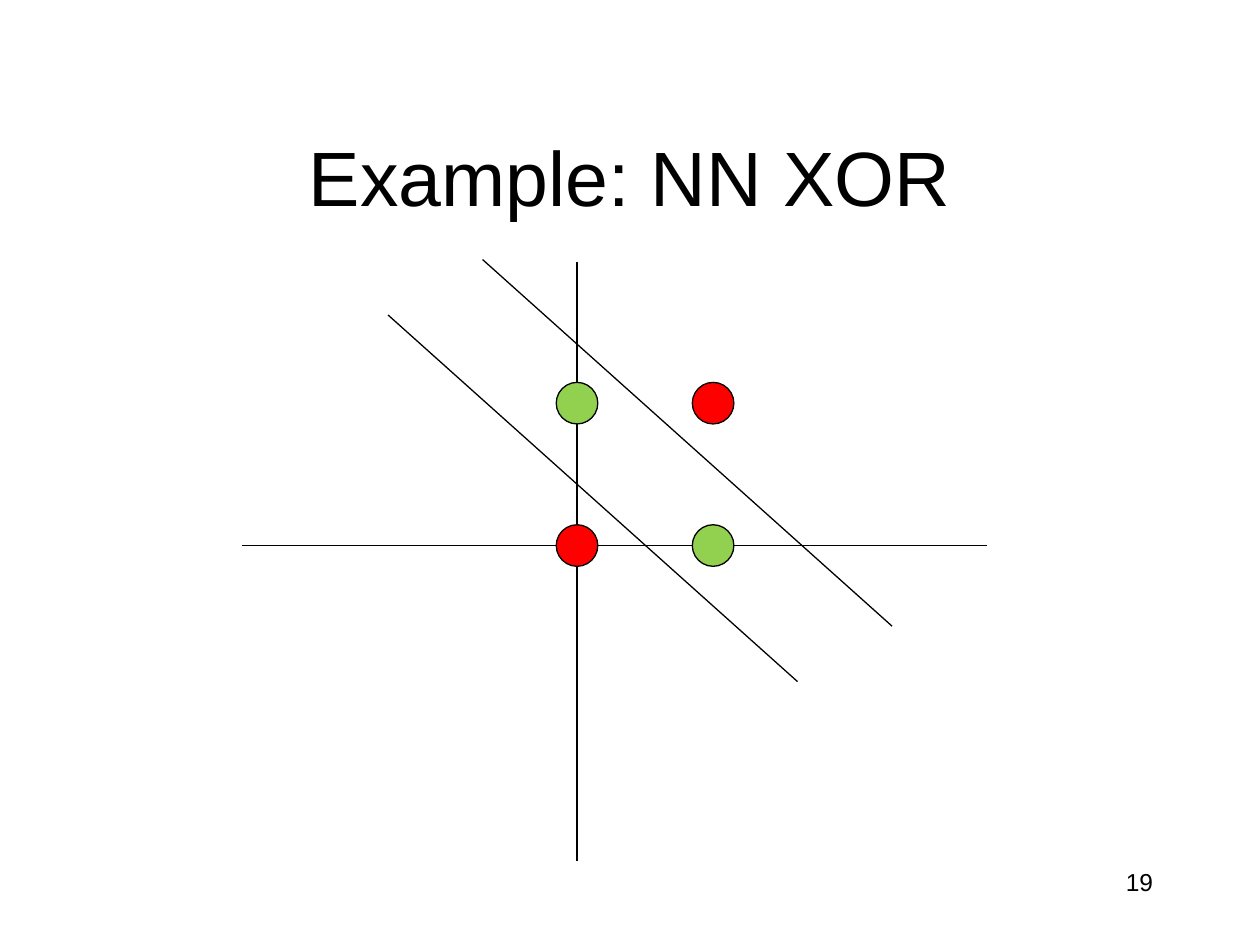
"""Build the XOR slide: four points on two axes, split by two parallel lines."""
from pptx import Presentation
from pptx.dml.color import RGBColor
from pptx.enum.shapes import MSO_CONNECTOR as Connector, MSO_SHAPE as Shape
from pptx.enum.text import MSO_ANCHOR as Anchor, PP_ALIGN as Align
from pptx.util import Inches, Pt
from lxml.etree import SubElement
from pptx.oxml.ns import qn

BLACK, GREEN, RED = "000000", "92D050", "FF0000"
ORIGIN_X, ORIGIN_Y = 4.58, 4.33
UNIT_X, UNIT_Y = 1.08, 1.13
DIAMETER = 0.33
LINE_WIDTH = 0.75

TEXTS = [
    ("Example: NN XOR", (0.5, 0.92, 9, 1.05), 44, Align.CENTER, 0.11),
    ("19", (7.17, 6.83, 2.08, 0.5), 14, Align.RIGHT, 0.05),
]
AXES = [
    (ORIGIN_X, 2.08, ORIGIN_X, 6.83),
    (1.92, ORIGIN_Y, 7.83, ORIGIN_Y),
]
BOUNDARY_STARTS = [(3.08, 2.5), (3.83, 2.06)]
BOUNDARY_RUN, BOUNDARY_DROP = 3.25, 2.91
INPUTS = [(0, 1), (1, 0), (0, 0), (1, 1)]


def color(value):
    return RGBColor.from_string(value)


def style_line(line):
    line.color.rgb = color(BLACK)
    line.width = Pt(LINE_WIDTH)


def add_text(page, text, place, size, align, top):
    box = page.shapes.add_textbox(*map(Inches, place))
    frame = box.text_frame
    frame_format = {"word_wrap": True, "vertical_anchor": Anchor.TOP, "margin_top": Inches(top)}
    for name, value in frame_format.items():
        setattr(frame, name, value)
    para = frame.paragraphs[0]
    para.alignment = align
    span = para.add_run()
    span.text = text
    for name, value in {"name": "Arial", "size": Pt(size)}.items():
        setattr(span.font, name, value)
    span.font.color.rgb = color(BLACK)


def add_line(page, ends):
    connector = page.shapes.add_connector(Connector.STRAIGHT, *map(Inches, ends))
    style_line(connector.line)
    SubElement(connector._element.spPr, qn("a:effectLst"))


def add_point(page, first, second):
    left = ORIGIN_X + first * UNIT_X - DIAMETER / 2
    top = ORIGIN_Y - second * UNIT_Y - DIAMETER / 2
    point = page.shapes.add_shape(Shape.OVAL, *map(Inches, (left, top, DIAMETER, DIAMETER)))
    point.shadow.inherit = False
    point.fill.solid()
    point.fill.fore_color.rgb = color(GREEN if first ^ second else RED)
    style_line(point.line)


deck = Presentation()
deck.slide_width, deck.slide_height = Inches(10), Inches(7.5)
page = deck.slides.add_slide(deck.slide_layouts[6])
for item in TEXTS:
    add_text(page, *item)
for axis in AXES:
    add_line(page, axis)
for pair in INPUTS:
    add_point(page, *pair)
for x, y in BOUNDARY_STARTS:
    add_line(page, (x, y, x + BOUNDARY_RUN, y + BOUNDARY_DROP))
deck.save("out.pptx")
